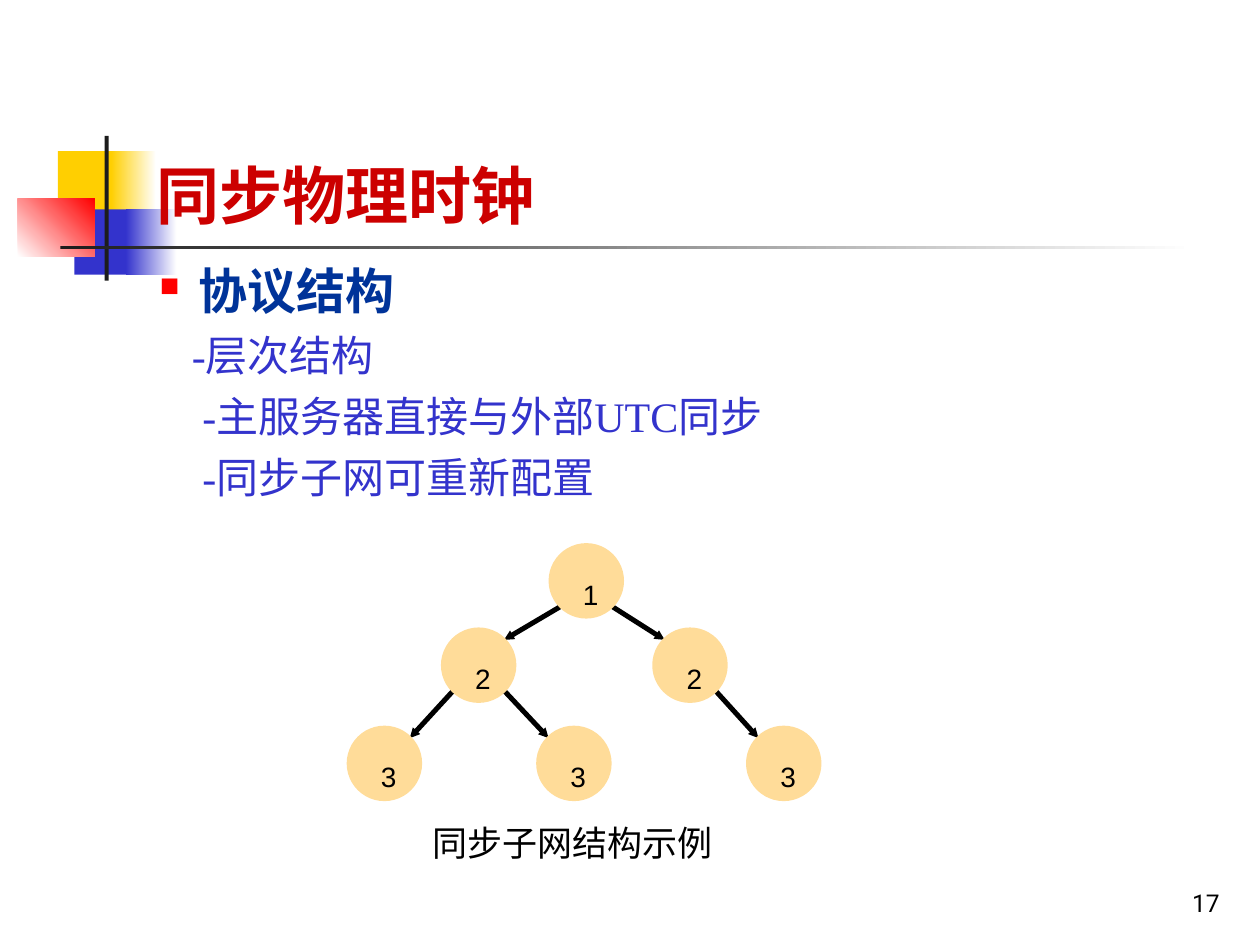
"""Build the slide on physical clock synchronisation."""
from itertools import groupby

from lxml import etree
from pptx import Presentation
from pptx import util as u
from pptx.dml import color
from pptx.enum import shapes, text
from pptx.oxml import ns

CJK = "Noto Sans CJK JP"
BLACK, WHITE, YELLOW, BLUE = "000000", "FFFFFF", "FFCF01", "3333CC"
RED, DARK, PEACH = "FF0000", "1C1C1C", "FFDC99"

DECOR = [
    ((1.17, 3.05, 1.22, 1.32), [YELLOW], 0),
    ((2.24, 3.05, 0.91, 1.32), [YELLOW, WHITE], 0),
    ((1.5, 4.22, 1.17, 1.32), [BLUE], 0),
    ((2.54, 4.22, 1.02, 1.32), [BLUE, WHITE], 0),
    ((0.36, 4.01, 1.55, 1.17), [WHITE, RED], 45),
    ((2.11, 2.74, 0.08, 2.92), [DARK], 0),
    ((1.22, 4.95, 22.86, 0.08), [DARK, WHITE], 0),
]
TITLE = "同步物理时钟"
HEADING = "协议结构"
POINTS = [
    ("-层次结构", 1.92),
    ("-主服务器直接与外部UTC同步", 2.13),
    ("-同步子网可重新配置", 2.13),
]
CAPTION = "同步子网结构示例"
PAGE_NUMBER = "17"

NODES = {
    "root": ("1", 11.82, 11.71),
    "left": ("2", 9.65, 13.41),
    "right": ("2", 13.91, 13.41),
    "leaf a": ("3", 7.75, 15.39),
    "leaf b": ("3", 11.57, 15.39),
    "leaf c": ("3", 15.8, 15.39),
}
LINKS = [("root", "left"), ("root", "right"), ("left", "leaf a"),
         ("left", "leaf b"), ("right", "leaf c")]
DIAMETER, REACH = 1.42, 0.51
LINE_WIDTH = u.Pt(2.86)


def rgb(value):
    return color.RGBColor.from_string(value)


def add_element(parent, tag, **attributes):
    return etree.SubElement(parent, ns.qn(tag), **attributes)


def style(font, name, size, fill, bold=False):
    font.name, font.size, font.bold = name, u.Pt(size), bold
    font.color.rgb = rgb(fill)


def add_box(page, area, inset=True, anchor=text.MSO_ANCHOR.TOP):
    frame = page.shapes.add_textbox(*map(u.Cm, area)).text_frame
    frame.word_wrap = True
    frame.vertical_anchor = anchor
    if not inset:
        frame.margin_left = frame.margin_right = 0
        frame.margin_top = frame.margin_bottom = 0
    return frame


def add_label(page, area, words, name, size, fill=BLACK, bold=False,
              align=text.PP_ALIGN.LEFT, **options):
    para = add_box(page, area, **options).paragraphs[0]
    para.text, para.alignment = words, align
    style(para.font, name, size, fill, bold)


def add_preset(page, kind, area, fills, angle=0):
    shape = page.shapes.add_shape(kind, *map(u.Cm, area))
    shape.shadow.inherit = False
    shape.line.fill.background()
    if len(fills) == 1:
        shape.fill.solid()
        shape.fill.fore_color.rgb = rgb(fills[0])
    else:
        shape.fill.gradient()
        shape.fill.gradient_angle = angle
        for stop, value in zip(shape.fill.gradient_stops, fills):
            stop.color.rgb = rgb(value)
    return shape


def add_body(page):
    frame = add_box(page, (1.7, 5.13, 22.81, 13.21))
    para = frame.paragraphs[0]
    para.text = HEADING
    props = para._p.get_or_add_pPr()
    props.set("marL", str(u.Cm(2.06)))
    props.set("indent", str(u.Cm(-0.79)))
    add_element(add_element(props, "a:buClr"), "a:srgbClr", val=RED)
    add_element(props, "a:buSzPct", val="55000")
    add_element(props, "a:buChar", char="■")
    style(para.font, "Times New Roman", 28, "003399", True)
    for words, margin in POINTS:
        para = frame.add_paragraph()
        para._p.get_or_add_pPr().set("marL", str(u.Cm(margin)))
        para.space_before = u.Pt(6)
        for latin, letters in groupby(words, str.isascii):
            span = para.add_run()
            span.text = "".join(letters)
            style(span.font, "Times New Roman" if latin else "Roboto", 24, BLUE)


def add_arrow(page, parent, child):
    _, x1, y1 = NODES[parent]
    _, x2, y2 = NODES[child]
    shift = REACH if x2 > x1 else -REACH
    ends = (x1 + shift, y1 + REACH, x2 - shift, y2 - REACH)
    arrow = page.shapes.add_connector(shapes.MSO_CONNECTOR.STRAIGHT, *map(u.Cm, ends))
    arrow.line.width = LINE_WIDTH
    arrow.line.color.rgb = rgb(BLACK)
    add_element(arrow.line._get_or_add_ln(), "a:tailEnd", type="triangle", w="sm", len="sm")
    add_element(arrow._element.spPr, "a:effectLst")


def add_tree(page):
    for parent, child in LINKS:
        add_arrow(page, parent, child)
    for level, x, y in NODES.values():
        area = (x - DIAMETER / 2, y - DIAMETER / 2, DIAMETER, DIAMETER)
        node = add_preset(page, shapes.MSO_SHAPE.OVAL, area, [PEACH])
        node.line.color.rgb = rgb(PEACH)
        node.line.width = LINE_WIDTH
    for level, x, y in NODES.values():
        add_label(page, (x - 0.07, y - 0.07, 0.32, 0.69), level, "Arial", 16, inset=False)


def main():
    deck = Presentation()
    deck.slide_width, deck.slide_height = u.Cm(25.4), u.Cm(19.05)
    page = deck.slides.add_slide(deck.slide_layouts[6])
    for area, fills, angle in DECOR:
        add_preset(page, shapes.MSO_SHAPE.RECTANGLE, area, fills, angle)
    add_label(page, (19.56, 17.35, 5.28, 1.27), PAGE_NUMBER, "Roboto", 14,
              align=text.PP_ALIGN.RIGHT, anchor=text.MSO_ANCHOR.BOTTOM)
    add_label(page, (2.9, 2.31, 18.8, 2.49), TITLE, CJK, 36, "CC0000", True,
              anchor=text.MSO_ANCHOR.BOTTOM)
    add_body(page)
    add_tree(page)
    add_label(page, (8.72, 16.56, 9.01, 0.84), CAPTION, "Arial", 20, inset=False)
    deck.save("out.pptx")


if __name__ == "__main__":
    main()
